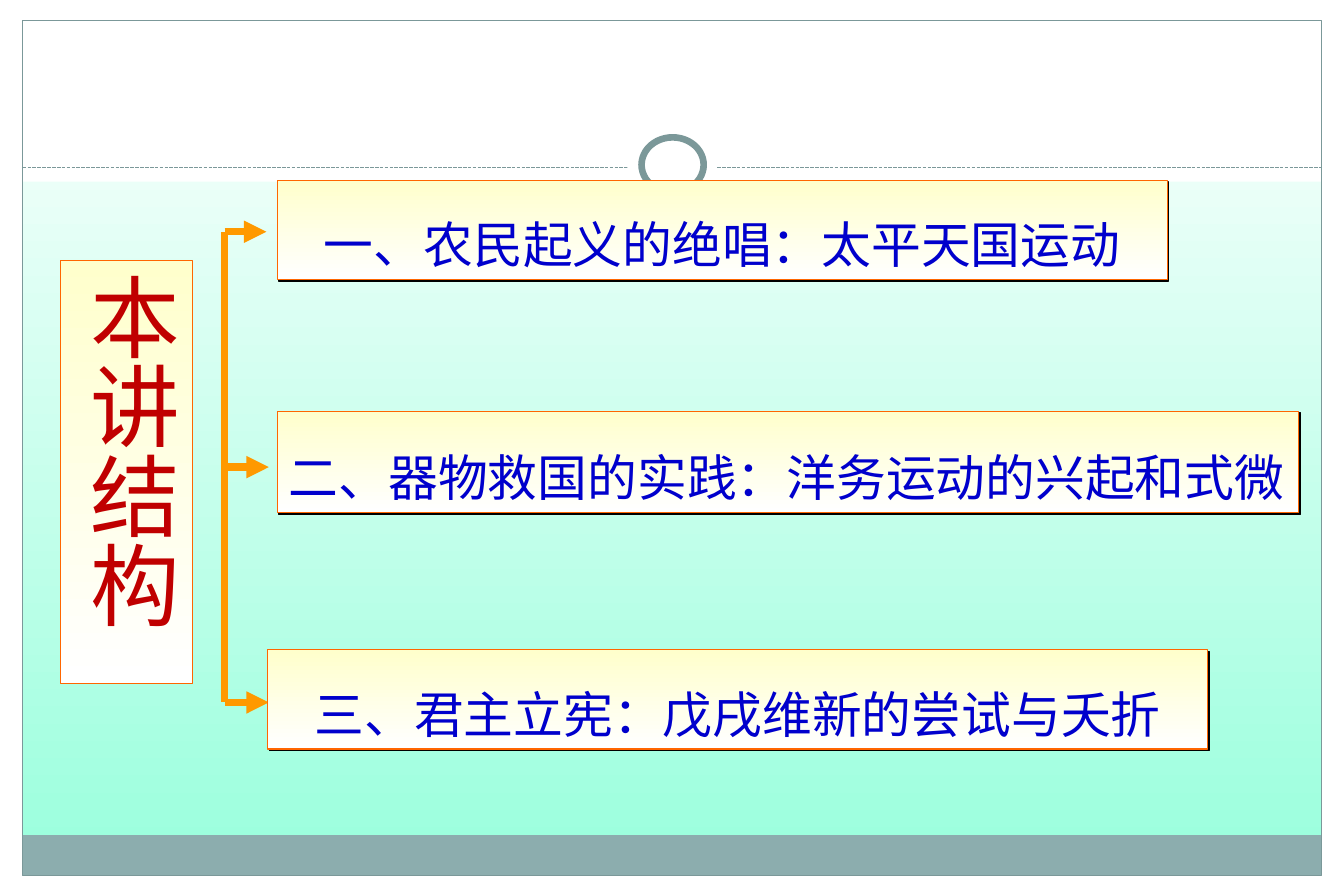
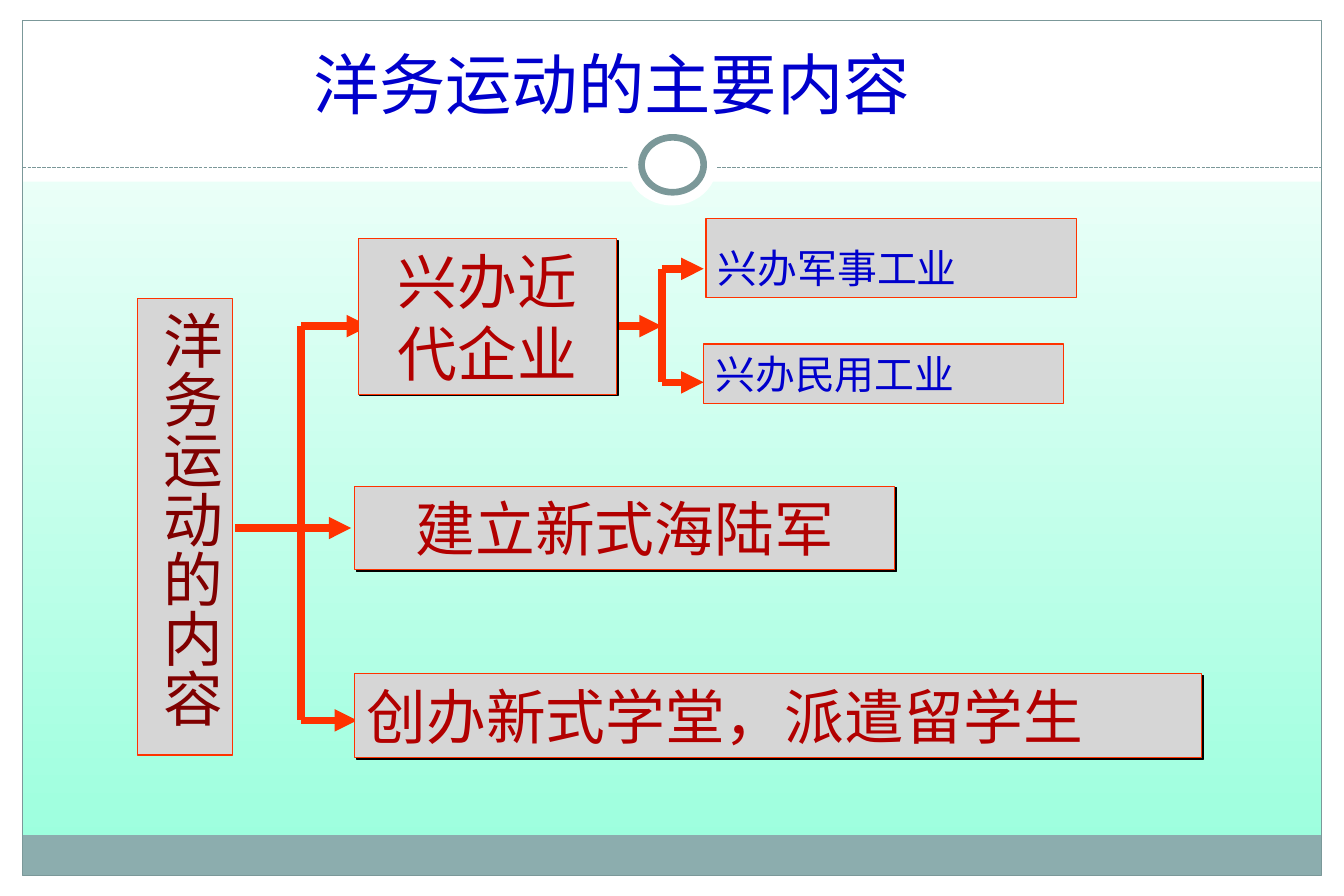
from lxml import etree
from pptx import Presentation
from pptx.dml.color import RGBColor
from pptx.enum.dml import MSO_LINE
from pptx.enum.shapes import MSO_CONNECTOR, MSO_SHAPE
from pptx.enum.text import MSO_ANCHOR, MSO_AUTO_SIZE, PP_ALIGN
from pptx.oxml.ns import qn
from pptx.util import Inches, Pt

RECT, OVAL = MSO_SHAPE.RECTANGLE, MSO_SHAPE.OVAL
STRAIGHT, DASH = MSO_CONNECTOR.STRAIGHT, MSO_LINE.SQUARE_DOT
TOP, MIDDLE, BOTTOM = MSO_ANCHOR.TOP, MSO_ANCHOR.MIDDLE, MSO_ANCHOR.BOTTOM
LEFT, CENTER = PP_ALIGN.LEFT, PP_ALIGN.CENTER
FIXED = MSO_AUTO_SIZE.NONE

WHITE = RGBColor(0xFF, 0xFF, 0xFF)
BLACK = RGBColor(0x00, 0x00, 0x00)
MINT = RGBColor(0x97, 0xFF, 0xDC)
BAND = RGBColor(0x8C, 0xAD, 0xAE)
RULE = RGBColor(0x7B, 0x98, 0x99)
CREAM = RGBColor(0xFF, 0xFF, 0xCC)
GREY = RGBColor(0xD6, 0xD6, 0xD6)
ORANGE = RGBColor(0xFF, 0x66, 0x00)
AMBER = RGBColor(0xFF, 0x99, 0x00)
RED = RGBColor(0xFF, 0x33, 0x00)
BLUE = RGBColor(0x00, 0x00, 0xCC)
CRIMSON = RGBColor(0xC0, 0x00, 0x00)
BRICK = RGBColor(0xB2, 0x00, 0x00)
MAROON = RGBColor(0x80, 0x00, 0x00)

FONT_JP, FONT_SC, FONT_SANS = "Noto Sans CJK JP", "Noto Sans CJK SC", "DejaVu Sans"
WIDTH, HEIGHT, MARGIN = 11.25, 7.5, 0.19
SPINE = 1.88


def set_gradient(fill, top, bottom):
    fill.gradient()
    fill.gradient_angle = 270
    for stop, color in zip(fill.gradient_stops, (top, bottom)):
        stop.color.rgb = color


def place(sp, at):
    sp.left, sp.top, sp.width, sp.height = (Inches(v) for v in at)


def style(sp, fill=None, line=None, width=0.75, shadow=False):
    """Fill is a colour, a (top, bottom) gradient pair or None."""
    if fill is None:
        sp.fill.background()
    elif isinstance(fill, RGBColor):
        sp.fill.solid()
        sp.fill.fore_color.rgb = fill
    else:
        set_gradient(sp.fill, *fill)
    if line is None:
        sp.line.fill.background()
    else:
        sp.line.color.rgb = line
        sp.line.width = Pt(width)
    sp.shadow.inherit = False
    if shadow:
        effects = sp.element.spPr.find(qn("a:effectLst"))
        outer = etree.SubElement(effects, qn("a:outerShdw"), dist=str(Pt(1.4)),
                                 dir="2700000", algn="ctr", rotWithShape="0")
        etree.SubElement(outer, qn("a:srgbClr"), val=str(BLACK))


def add_shape(slide, kind, at, **look):
    sp = slide.shapes.add_shape(kind, *(Inches(v) for v in at))
    style(sp, **look)
    return sp


def write(sp, text, size, color, font=FONT_JP, align=LEFT, anchor=TOP,
          spacing=1.0, vertical=False):
    tf = sp.text_frame
    tf.word_wrap, tf.auto_size, tf.vertical_anchor = True, FIXED, anchor
    side, end = (0.05, 0.1) if vertical else (0.1, 0.05)
    tf.margin_left = tf.margin_right = Inches(side)
    tf.margin_top = tf.margin_bottom = Inches(end)
    if vertical:
        sp.element.txBody.bodyPr.set("vert", "eaVert")
    p = tf.paragraphs[0]
    p.text, p.alignment, p.line_spacing = text, align, spacing
    f = p.font
    f.size, f.name = Pt(size), font
    f.color.rgb = color
    latin = p._p.pPr.find(qn("a:defRPr")).find(qn("a:latin"))
    latin.addnext(latin.makeelement(qn("a:ea"), {"typeface": font}))


def add_line(slide, start, end, color, width=4.5, arrow=False):
    line = slide.shapes.add_connector(STRAIGHT, *(Inches(v) for v in start + end))
    line.line.color.rgb = color
    line.line.width = Pt(width)
    if arrow:
        etree.SubElement(line.line._get_or_add_ln(), qn("a:tailEnd"), type="triangle")
    etree.SubElement(line.element.spPr, qn("a:effectLst"))
    return line


def add_fork(slide, x, tips, color):
    """Vertical spine at x with an arrow to every tip."""
    add_line(slide, (x, tips[0][1]), (x, tips[-1][1]), color)
    for tip in tips:
        add_line(slide, (x, tip[1]), tip, color, arrow=True)


def build_master(prs, slide):
    """Draw the shared frame on a slide, then move it to the master."""
    inner = WIDTH - 2 * MARGIN
    edge = WIDTH - MARGIN
    for at in ((0, 7.33, WIDTH, 0.17), (0, 0, WIDTH, 1.52),
               (0, 0, MARGIN, HEIGHT), (edge, 0, MARGIN, HEIGHT)):
        add_shape(slide, RECT, at, fill=WHITE)
    add_shape(slide, RECT, (MARGIN, 6.99, inner, 0.34), fill=BAND)
    add_shape(slide, RECT, (MARGIN, 0.17, inner, 7.16), line=RULE)
    add_line(slide, (MARGIN, 1.4), (edge, 1.4), RULE, 0.75).line.dash_style = DASH
    add_shape(slide, OVAL, (5.25, 1.05, 0.75, 0.67), fill=WHITE)
    add_shape(slide, OVAL, (5.37, 1.15, 0.52, 0.46), fill=WHITE, line=RULE, width=4)

    master = prs.slide_master
    set_gradient(master.background.fill, WHITE, MINT)
    frame = [sp for sp in slide.shapes if not sp.is_placeholder]
    for i, sp in enumerate(frame):
        sp.element.xpath(".//p:cNvPr")[0].set("id", str(100 + i))
        master.shapes._spTree.insert(2 + i, sp.element)


def build_outline(slide):
    card = {"fill": (CREAM, WHITE), "line": ORANGE}
    heading = {"size": 30, "color": BLUE}
    centered = {"align": CENTER, "anchor": BOTTOM, "spacing": 1.45}
    add_fork(slide, SPINE, [(2.23, 1.94), (2.25, 3.91), (2.25, 5.88)], AMBER)

    title = slide.shapes.title
    place(title, (2.32, 1.51, 7.45, 0.83))
    style(title, shadow=True, **card)
    write(title, "一、农民起义的绝唱：太平天国运动", **heading, **centered)

    sp = add_shape(slide, RECT, (2.32, 3.44, 8.55, 0.85), shadow=True, width=0.5, **card)
    write(sp, "二、器物救国的实践：洋务运动的兴起和式微", anchor=MIDDLE, spacing=1.5, **heading)
    sp = add_shape(slide, RECT, (2.24, 5.44, 7.87, 0.83), shadow=True, **card)
    write(sp, "三、君主立宪：戊戌维新的尝试与夭折", **heading, **centered)
    sp = add_shape(slide, RECT, (0.51, 2.18, 1.1, 3.54), **card)
    write(sp, "本讲结构", 54, CRIMSON, align=CENTER, vertical=True)


def build_contents(slide):
    title = slide.shapes.title
    place(title, (2.52, 0.44, 6.29, 0.67))
    write(title, "洋务运动的主要内容", 40, BLUE, spacing=0.8)

    add_fork(slide, 2.52, [(3.09, 2.73), (2.99, 6.03)], RED)
    add_line(slide, (1.97, 4.42), (2.94, 4.42), RED, arrow=True)
    add_fork(slide, 5.54, [(5.89, 2.25), (5.89, 3.2)], RED)
    add_line(slide, (5.18, 2.73), (5.54, 2.73), RED, arrow=True)

    sp = add_shape(slide, RECT, (1.15, 2.5, 0.8, 3.82), fill=GREY, line=RED)
    write(sp, "洋务运动的内容", 36, MAROON, vertical=True)
    for text, at, align in (
            ("兴办近代企业", (3, 2, 2.16, 1.3), CENTER),
            ("建立新式海陆军", (2.97, 4.07, 4.52, 0.7), CENTER),
            ("创办新式学堂，派遣留学生", (2.97, 5.64, 7.09, 0.7), LEFT)):
        sp = add_shape(slide, RECT, at, fill=GREY, line=RED, shadow=True)
        write(sp, text, 36, BRICK, FONT_SC, align)
    for text, at, spacing in (
            ("兴办军事工业", (5.91, 1.83, 3.1, 0.66), 1.4),
            ("兴办民用工业", (5.89, 2.88, 3.01, 0.5), 1.0)):
        sp = add_shape(slide, RECT, at, fill=GREY, line=RED)
        write(sp, text, 24, BLUE, FONT_SANS, spacing=spacing)


def main():
    prs = Presentation()
    prs.slide_width, prs.slide_height = Inches(WIDTH), Inches(HEIGHT)
    title_only = prs.slide_layouts[5]
    outline, contents = (prs.slides.add_slide(title_only) for _ in range(2))
    build_master(prs, outline)
    build_outline(outline)
    build_contents(contents)
    prs.save("out.pptx")


if __name__ == "__main__":
    main()
